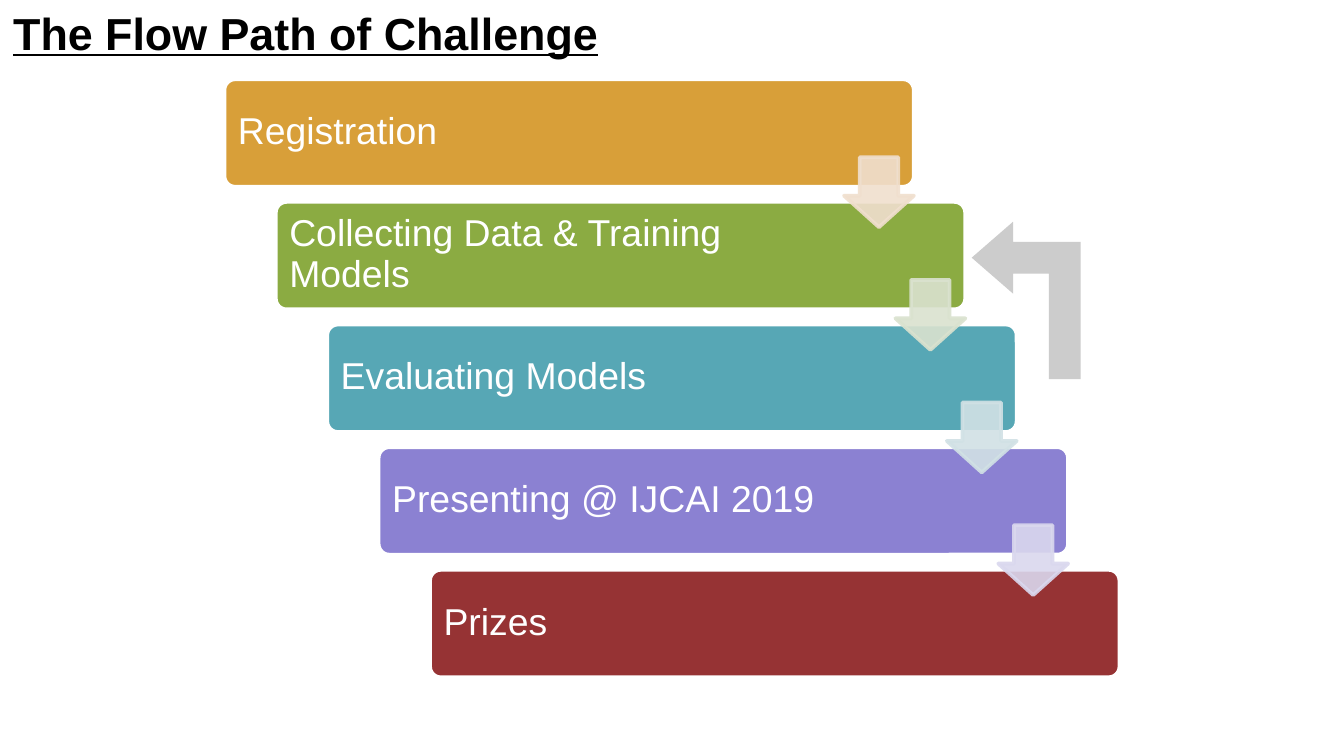
from dataclasses import dataclass

from lxml.etree import SubElement
from pptx import Presentation
from pptx.dml.color import RGBColor
from pptx.enum.shapes import MSO_SHAPE
from pptx.enum.text import MSO_ANCHOR
from pptx.oxml.ns import qn
from pptx.shapes.autoshape import Shape
from pptx.util import Inches, Pt

BLACK = RGBColor(0x00, 0x00, 0x00)
WHITE = RGBColor(0xFF, 0xFF, 0xFF)
GRAY = RGBColor(0xCC, 0xCC, 0xCC)
GOLD = RGBColor(0xD8, 0x9F, 0x39)
GREEN = RGBColor(0x8B, 0xAB, 0x42)
TEAL = RGBColor(0x57, 0xA7, 0xB5)
PURPLE = RGBColor(0x8B, 0x81, 0xD2)
RED = RGBColor(0x96, 0x33, 0x34)
PALE_GOLD = RGBColor(0xF0, 0xDF, 0xCE)
PALE_GREEN = RGBColor(0xDA, 0xE2, 0xCF)
PALE_TEAL = RGBColor(0xD1, 0xE1, 0xE5)
PALE_PURPLE = RGBColor(0xDA, 0xD8, 0xEE)

STEP_X = 1.53 / 4
STEP_Y = 3.65 / 4


@dataclass
class Box:
    left: float
    top: float
    width: float
    height: float

    def shift(self, count: int) -> "Box":
        """Return the box moved down the stairs by count steps."""
        return Box(self.left + count * STEP_X, self.top + count * STEP_Y,
                   self.width, self.height)

    def inches(self) -> list[Inches]:
        return [Inches(v) for v in (self.left, self.top, self.width, self.height)]


@dataclass
class Stage:
    label: str
    color: RGBColor
    arrow: RGBColor | None = None


STAGES = [
    Stage("Registration", GOLD, PALE_GOLD),
    Stage("Collecting Data & Training Models", GREEN, PALE_GREEN),
    Stage("Evaluating Models", TEAL, PALE_TEAL),
    Stage("Presenting @ IJCAI 2019", PURPLE, PALE_PURPLE),
    Stage("Prizes", RED),
]
BAR = Box(1.67, 0.59, 5.13, 0.8)
LABEL = Box(1.69, 0.61, 4.18, 0.75)
ARROW = Box(6.28, 1.17, 0.52, 0.52)


def add_form(shapes, kind: MSO_SHAPE, box: Box, adjust: list[float],
             fill: RGBColor, line: RGBColor | None = None) -> Shape:
    form = shapes.add_shape(kind, *box.inches())
    form.shadow.inherit = False
    for i, value in enumerate(adjust):
        form.adjustments[i] = value
    form.fill.solid()
    form.fill.fore_color.rgb = fill
    if line is None:
        form.line.fill.background()
    else:
        form.line.color.rgb = line
        form.line.width = Pt(2)
    return form


def add_text(shapes, box: Box, text: str, size: int, color: RGBColor,
             inset: float, spacing: float = 1.0, title: bool = False) -> None:
    frame = shapes.add_textbox(*box.inches()).text_frame
    frame.word_wrap = True
    frame.vertical_anchor = MSO_ANCHOR.MIDDLE
    frame.margin_left = frame.margin_right = Inches(inset)
    frame.margin_top = frame.margin_bottom = Inches(inset)
    para = frame.paragraphs[0]
    para.line_spacing = spacing
    run = para.add_run()
    run.text = text
    font = run.font
    font.name = "Arial"
    font.size = Pt(size)
    font.color.rgb = color
    font.bold = font.underline = title


def set_alpha(form: Shape, percent: int) -> None:
    """Make fill and line partly clear."""
    for color in form._element.spPr.iter(qn("a:srgbClr")):
        SubElement(color, qn("a:alpha"), val=str(percent * 1000))


def main() -> None:
    deck = Presentation()
    deck.slide_width = Inches(10)
    deck.slide_height = deck.slide_width * 9 // 16
    slide = deck.slides.add_slide(deck.slide_layouts[6])

    add_text(slide.shapes, Box(0, 0, 8.39, 0.48), "The Flow Path of Challenge",
             24, BLACK, 0.1, title=True)

    stairs = slide.shapes.add_group_shape().shapes
    for i, stage in enumerate(STAGES):
        add_form(stairs, MSO_SHAPE.ROUNDED_RECTANGLE, BAR.shift(i), [0.1],
                 stage.color, WHITE)
        add_text(stairs, LABEL.shift(i), stage.label, 20, WHITE, 0.08, 0.9)
    for i, stage in enumerate(STAGES):
        if stage.arrow is not None:
            arrow = add_form(stairs, MSO_SHAPE.DOWN_ARROW, ARROW.shift(i),
                             [0.55, 0.45], stage.arrow, stage.arrow)
            set_alpha(arrow, 90)

    back = add_form(slide.shapes, MSO_SHAPE.BENT_UP_ARROW,
                    Box(7.05, 1.83, 1.17, 0.81), [0.29, 0.33, 0.38], GRAY)
    back.rotation = 270

    deck.save("out.pptx")


if __name__ == "__main__":
    main()
